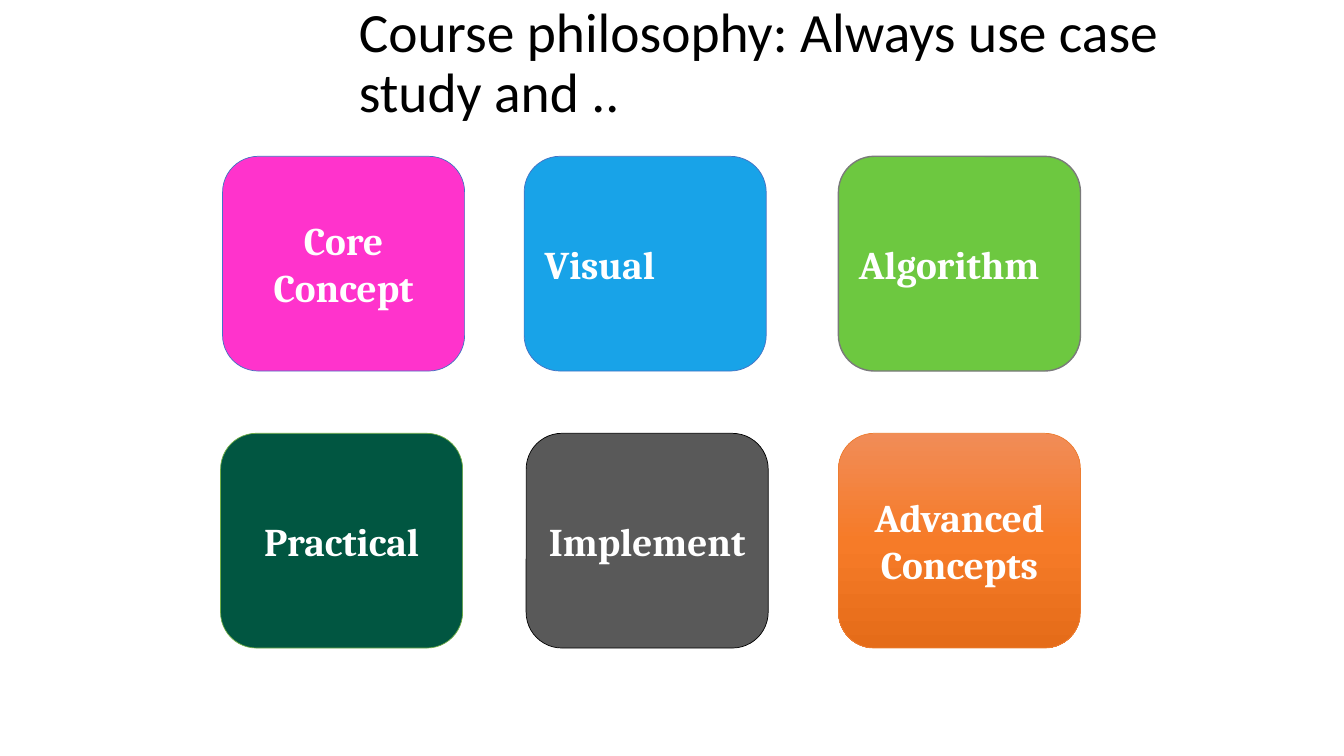
"""Build the course philosophy slide: a title over six coloured cards."""
from copy import deepcopy
from dataclasses import dataclass

from pptx import Presentation
from pptx.dml.color import RGBColor as RGB
from pptx.enum.shapes import MSO_SHAPE as SHAPE
from pptx.enum.text import MSO_ANCHOR as ANCHOR, MSO_AUTO_SIZE as AUTO, PP_ALIGN as ALIGN
from pptx.oxml.ns import qn
from pptx.util import Cm, Pt

TITLE = "Course philosophy: Always use case study and .."
CARD_ROWS = [
    [("Core Concept", "pink", 5.61, ALIGN.CENTER),
     ("Visual", "blue", 13.21, ALIGN.LEFT),
     ("Algorithm", "lime", 21.13, ALIGN.LEFT)],
    [("Practical", "forest", 5.56, ALIGN.CENTER),
     ("Implement", "grey", 13.26, ALIGN.CENTER),
     ("Advanced Concepts", "orange", 21.13, ALIGN.CENTER)],
]
CARD_W, CARD_H = 6.1, 5.41
FIRST_ROW, ROW_STEP = 3.94, 6.98


@dataclass(frozen=True)
class Theme:
    title_font: str = "Calibri"
    title_size: float = 39.6
    title_color: str = "000000"
    card_font: str = "Cambria"
    card_size: float = 28
    card_color: str = "FFFFFF"


THEME = Theme()
CARD_STYLES = {
    "pink": (["FF33CC"], "4472C4", 0.5),
    "blue": (["18A3E8"], "4472C4", 0.5),
    "lime": (["6DC840"], "7A7A7A", 1),
    "forest": (["015641"], "70AD47", 0.5),
    "grey": (["595959"], "000000", 0.5),
    "orange": (["F18C57", "F67B28", "E56C19"], "ED7D31", 0.5),
}


def set_font(p, name, size, color, bold=False):
    p.font.name, p.font.size, p.font.bold = name, Pt(size), bold
    p.font.color.rgb = RGB.from_string(color)


def set_fill(s, colors):
    if len(colors) == 1:
        s.fill.solid()
        s.fill.fore_color.rgb = RGB.from_string(colors[0])
        return
    s.fill.gradient()
    s.fill.gradient_angle = 270
    stop_list = next(s._element.iter(qn("a:gsLst")))
    while len(stop_list) < len(colors):
        stop_list.append(deepcopy(stop_list[-1]))
    for i, (stop, color) in enumerate(zip(s.fill.gradient_stops, colors)):
        stop.position = i / (len(colors) - 1)
        stop.color.rgb = RGB.from_string(color)


def add_title(slide):
    s = slide.shapes.title
    s.left, s.top, s.width, s.height = Cm(8.79), Cm(0.53), Cm(20.83), Cm(2.18)
    tf = s.text_frame
    tf.text = TITLE
    tf.word_wrap, tf.auto_size = True, AUTO.NONE
    tf.vertical_anchor = ANCHOR.MIDDLE
    p = tf.paragraphs[0]
    p.alignment, p.line_spacing = ALIGN.LEFT, 0.9
    set_font(p, THEME.title_font, THEME.title_size, THEME.title_color)


def add_card(slide, text, style, left, top, align):
    colors, line_color, line_width = CARD_STYLES[style]
    s = slide.shapes.add_shape(SHAPE.ROUNDED_RECTANGLE, Cm(left), Cm(top), Cm(CARD_W), Cm(CARD_H))
    s.shadow.inherit = False
    set_fill(s, colors)
    s.line.color.rgb = RGB.from_string(line_color)
    s.line.width = Pt(line_width)
    tf = s.text_frame
    tf.text = text
    tf.word_wrap, tf.vertical_anchor = True, ANCHOR.MIDDLE
    p = tf.paragraphs[0]
    p.alignment = align
    set_font(p, THEME.card_font, THEME.card_size, THEME.card_color, bold=True)


def main():
    prs = Presentation()
    prs.slide_width, prs.slide_height = Cm(33.87), Cm(19.05)
    slide = prs.slides.add_slide(prs.slide_layouts.get_by_name("Title Only"))
    add_title(slide)
    for row, cards in enumerate(CARD_ROWS):
        for text, style, left, align in cards:
            add_card(slide, text, style, left, FIRST_ROW + row * ROW_STEP, align)
    prs.save("out.pptx")


if __name__ == "__main__":
    main()
